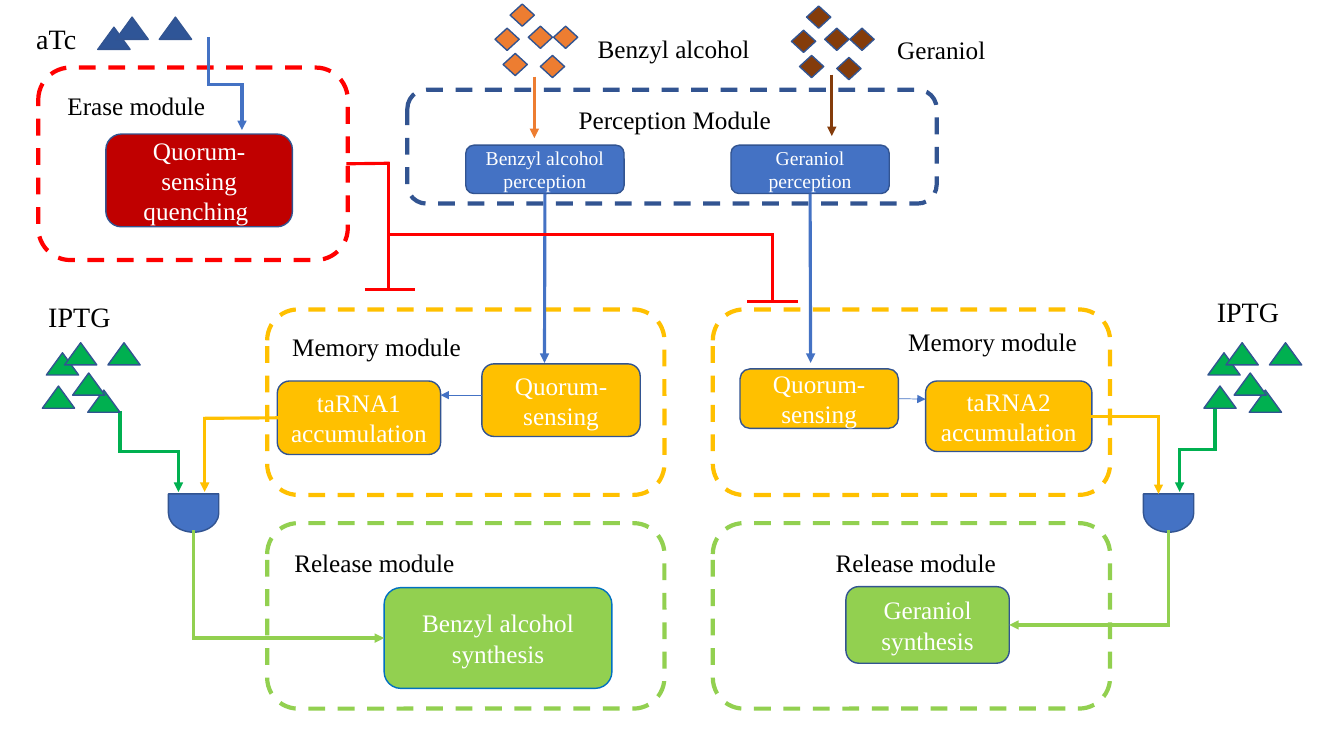
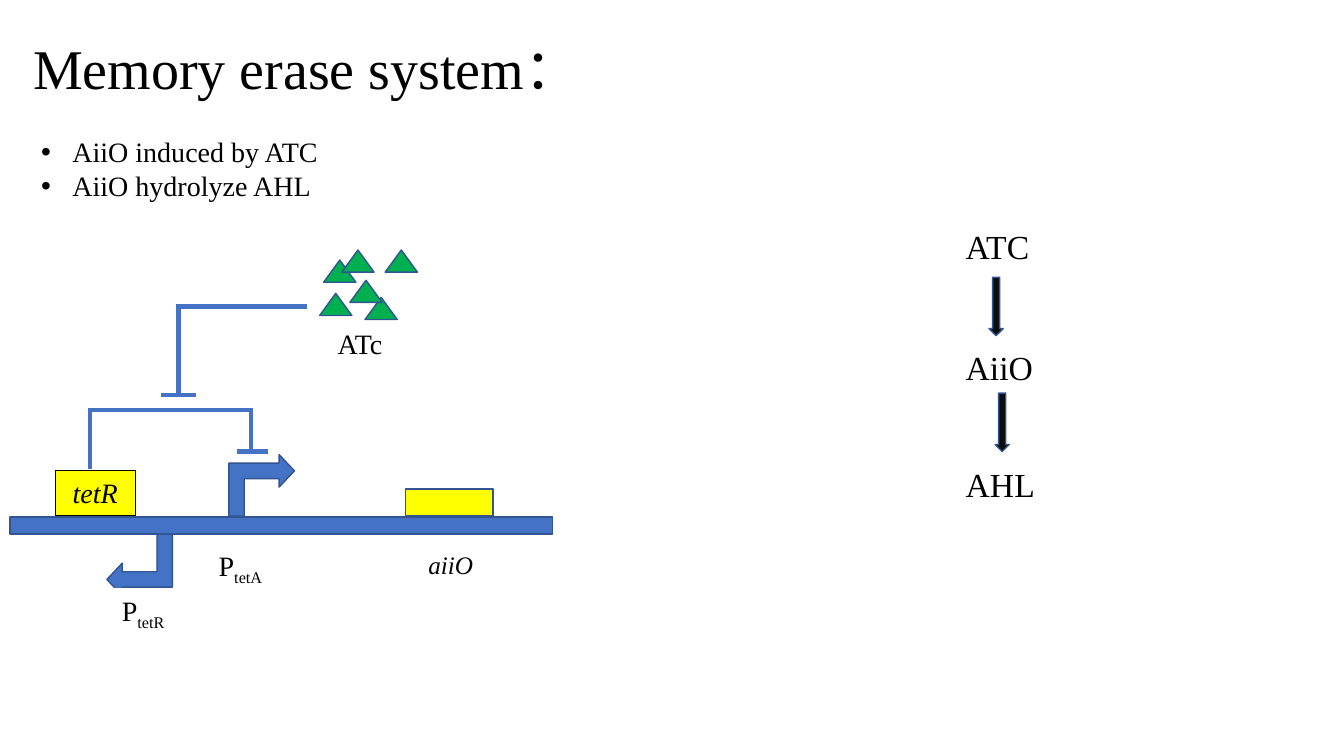
from dataclasses import dataclass

from lxml import etree
from pptx import Presentation
from pptx.dml.color import RGBColor
from pptx.enum.dml import MSO_LINE
from pptx.enum.shapes import MSO_CONNECTOR, MSO_SHAPE
from pptx.enum.text import MSO_ANCHOR, PP_ALIGN
from pptx.oxml.ns import qn
from pptx.util import Pt

PX = 9144  # 100 px to the inch
RECTANGLE, ROUNDED = MSO_SHAPE.RECTANGLE, MSO_SHAPE.ROUNDED_RECTANGLE
TRIANGLE, DIAMOND = MSO_SHAPE.ISOSCELES_TRIANGLE, MSO_SHAPE.DIAMOND
DELAY, BENT_ARROW = MSO_SHAPE.FLOWCHART_DELAY, MSO_SHAPE.BENT_UP_ARROW
DOWN_ARROW = MSO_SHAPE.DOWN_ARROW
STRAIGHT = MSO_CONNECTOR.STRAIGHT
LEFT, CENTER = PP_ALIGN.LEFT, PP_ALIGN.CENTER
TOP, MIDDLE = MSO_ANCHOR.TOP, MSO_ANCHOR.MIDDLE
LEFT_SIDE, BOTTOM_SIDE, RIGHT_SIDE = 1, 2, 3


@dataclass(frozen=True)
class Theme:
    font: str = "Times New Roman"
    white: str = "FFFFFF"
    black: str = "000000"
    ink: str = "0D0D0D"
    outline: str = "325491"
    blue: str = "4472C4"
    navy: str = "2F5597"
    bright_blue: str = "0070C0"
    red: str = "FF0000"
    dark_red: str = "C00000"
    amber: str = "FFC000"
    yellow: str = "FFFF00"
    lime: str = "92D050"
    green: str = "00B050"
    orange: str = "ED7D31"
    brown: str = "843C0B"
    title: int = 40
    step: int = 24
    label: int = 20
    body: int = 18
    small: int = 14


theme = Theme()


def add_box(shapes, kind, box, fill=None, line=theme.outline, width=1, dash=False,
            text="", size=theme.body, color=theme.black, align=LEFT, anchor=TOP,
            italic=False, bullet=False):
    """Add a shape, or a text box when kind is None; "_" starts a subscript."""
    frame = [value * PX for value in box]
    if kind is None:
        shape = shapes.add_textbox(*frame)
    else:
        shape = shapes.add_shape(kind, *frame)
        shape.shadow.inherit = False
        shape.fill.solid()
        shape.fill.fore_color.rgb = RGBColor.from_string(fill)
        shape.line.color.rgb = RGBColor.from_string(line)
        shape.line.width = Pt(width)
        if dash:
            shape.line.dash_style = MSO_LINE.DASH
    if not text:
        return shape
    text_frame = shape.text_frame
    for name, value in {"word_wrap": True, "vertical_anchor": anchor}.items():
        setattr(text_frame, name, value)
    for index, content in enumerate(text.split("\n")):
        paragraph = text_frame.add_paragraph() if index else text_frame.paragraphs[0]
        paragraph.alignment = align
        if bullet:
            properties = paragraph._p.get_or_add_pPr()
            properties.set("marL", str(31 * PX))
            properties.set("indent", str(-31 * PX))
            etree.SubElement(properties, qn("a:buFont"), typeface="Arial")
            etree.SubElement(properties, qn("a:buChar"), char="•")
        base, _, subscript = content.partition("_")
        for part in filter(None, (base, subscript)):
            run = paragraph.add_run()
            run.text = part
            font_format = {"name": theme.font, "size": Pt(size), "italic": italic}
            for name, value in font_format.items():
                setattr(run.font, name, value)
            run.font.color.rgb = RGBColor.from_string(color)
            if part is subscript:
                run.font._element.set("baseline", "-25000")
    return shape


def add_link(shapes, points, color, width=2.25, arrow=True, begin=None, end=None):
    """Draw straight connectors through points; begin and end are (shape, site)."""
    last = len(points) - 2
    for index, (start, stop) in enumerate(zip(points, points[1:])):
        connector = shapes.add_connector(STRAIGHT, *[v * PX for v in start + stop])
        connector.line.color.rgb = RGBColor.from_string(color)
        connector.line.width = Pt(width)
        properties = connector._element.spPr
        outline = properties.find(qn("a:ln"))
        if last:
            outline.set("cap", "sq")
        if arrow and index == last:
            etree.SubElement(outline, qn("a:tailEnd"), type="triangle")
        etree.SubElement(properties, qn("a:effectLst"))
        if begin and index == 0:
            connector.begin_connect(*begin)
        if end and index == last:
            connector.end_connect(*end)


presentation = Presentation()
presentation.slide_width = 1333 * PX
presentation.slide_height = 750 * PX
blank = presentation.slide_layouts[6]
overview = presentation.slides.add_slide(blank)
erase_system = presentation.slides.add_slide(blank)

# Overview: dashed modules
canvas = overview.shapes
modules = {}
for name, box, color in [
    ("memory 2", (707, 307, 394, 184), theme.amber),
    ("memory 1", (265, 307, 394, 184), theme.amber),
    ("perception", (404, 89, 525, 113), theme.outline),
    ("erase", (38, 67, 307, 191), theme.red),
    ("release 1", (265, 519, 394, 184), theme.lime),
    ("release 2", (707, 519, 394, 184), theme.lime),
]:
    modules[name] = add_box(canvas, ROUNDED, box, theme.white, color, 3, dash=True)

# Overview: steps inside the modules
steps = {}
for name, box, fill, line, size, text in [
    ("sense alcohol", (462, 144, 157, 48), theme.blue, theme.outline, theme.small,
     "Benzyl alcohol perception"),
    ("sense geraniol", (725, 144, 157, 48), theme.blue, theme.outline, theme.small,
     "Geraniol perception"),
    ("quorum 1", (478, 361, 157, 72), theme.amber, theme.outline, theme.body,
     "Quorum-sensing"),
    ("quorum 2", (734, 366, 157, 59), theme.amber, theme.outline, theme.body,
     "Quorum-sensing"),
    ("taRNA1", (275, 378, 162, 73), theme.amber, theme.outline, theme.body,
     "taRNA1\naccumulation"),
    ("taRNA2", (918, 378, 165, 70), theme.amber, theme.outline, theme.body,
     "taRNA2 accumulation"),
    ("make alcohol", (381, 583, 226, 100), theme.lime, theme.bright_blue, theme.body,
     "Benzyl alcohol synthesis"),
    ("make geraniol", (839, 582, 162, 76), theme.lime, theme.outline, theme.body,
     "Geraniol synthesis"),
    ("quenching", (105, 133, 185, 92), theme.dark_red, theme.outline, theme.body,
     "Quorum-sensing quenching "),
]:
    steps[name] = add_box(canvas, ROUNDED, box, fill, line, text=text, size=size,
                          color=theme.white, align=CENTER, anchor=MIDDLE)

# Overview: AND gates
for left in (173, 1140):
    gate = add_box(canvas, DELAY, (left, 484, 38, 50), theme.blue)
    gate.rotation = 90

# Overview: labels
for text, left, top, width, size in [
    ("Perception Module", 564, 99, 218, theme.body),
    ("Memory module", 280, 324, 196, theme.body),
    ("Memory module", 891, 319, 193, theme.body),
    ("Erase module", 57, 85, 201, theme.body),
    ("Release module", 282, 538, 242, theme.body),
    ("Release module", 819, 538, 253, theme.body),
    ("Benzyl alcohol", 583, 28, 180, theme.body),
    ("Geraniol", 880, 29, 172, theme.body),
    ("IPTG", 38, 292, 89, theme.label),
    ("IPTG", 1197, 287, 93, theme.label),
    ("aTc", 26, 16, 89, theme.label),
]:
    add_box(canvas, None, (left, top, width, 44), text=text, size=size)

# Overview: signal arrows
for points, color, width, begin, end in [
    ([(540, 192), (540, 360)], theme.blue, 2.25, ("sense alcohol", BOTTOM_SIDE), None),
    ([(804, 192), (804, 360)], theme.blue, 2.25, ("sense geraniol", BOTTOM_SIDE), None),
    ([(891, 396), (918, 396)], theme.blue, 0.5, ("quorum 2", RIGHT_SIDE), None),
    ([(478, 392), (437, 392)], theme.blue, 0.5, None, None),
    ([(530, 76), (530, 137)], theme.orange, 2.25, None, None),
    ([(825, 74), (825, 135)], theme.brown, 2.25, None, None),
    ([(207, 38), (207, 84), (240, 84), (240, 129)], theme.blue, 2.25, None, None),
    ([(275, 415), (203, 415), (203, 488)], theme.amber, 2.25,
     ("taRNA1", LEFT_SIDE), None),
    ([(1083, 413), (1149, 413), (1149, 490)], theme.amber, 2.25,
     ("taRNA2", RIGHT_SIDE), None),
    ([(119, 409), (119, 448), (177, 448), (177, 488)], theme.green, 2.25, None, None),
    ([(1205, 404), (1205, 446), (1170, 446), (1170, 488)], theme.green, 2.25,
     None, None),
    ([(192, 527), (192, 633), (381, 633)], theme.lime, 2.25,
     None, ("make alcohol", LEFT_SIDE)),
    ([(1159, 527), (1159, 620), (1001, 620)], theme.lime, 2.25,
     None, ("make geraniol", RIGHT_SIDE)),
]:
    add_link(canvas, points, color, width,
             begin=begin and (steps[begin[0]], begin[1]),
             end=end and (steps[end[0]], end[1]))

# Overview: inhibition of both memory modules
add_link(canvas, [(345, 162), (385, 162), (385, 287)], theme.red, arrow=False,
         begin=(modules["erase"], RIGHT_SIDE))
add_link(canvas, [(385, 233), (766, 233), (766, 299)], theme.red, arrow=False)
for left, top in [(362, 287), (741, 299)]:
    add_link(canvas, [(left, top), (left + 50, top)], theme.red, arrow=False)

# Erase system: title and bullets
canvas = erase_system.shapes
add_box(canvas, None, (23, 28, 842, 77), text="Memory erase system：", size=theme.title)
add_box(canvas, None, (31, 129, 297, 77), text="AiiO induced by ATC\nAiiO hydrolyze AHL",
        size=theme.label, bullet=True)

# Erase system: gene circuit
circuit = canvas.add_group_shape().shapes
add_box(circuit, RECTANGLE, (10, 513, 538, 17), theme.blue)
add_box(circuit, RECTANGLE, (402, 485, 87, 27), theme.yellow)
add_box(circuit, RECTANGLE, (55, 467, 79, 44), theme.yellow, theme.black, 0.75,
        text="tetR", size=theme.label, align=CENTER, italic=True)
add_box(circuit, None, (415, 540, 75, 40), text="aiiO", italic=True)
for left, top, rotation in [(108, 528, 90), (229, 449, 270)]:
    promoter = add_box(circuit, BENT_ARROW, (left, top, 61, 65), theme.blue)
    for index, value in enumerate((0.25, 0.265, 0.25)):
        promoter.adjustments[index] = value
    promoter.rotation = rotation
    promoter._element.spPr.xfrm.set("flipV", "1")
for text, left, top, width in [
    ("P_tetA", 207, 539, 72), ("P_tetR", 111, 584, 76), ("ATc", 325, 319, 75),
]:
    add_box(circuit, RECTANGLE, (left, top, width, 44), theme.white, theme.white, 0.75,
            text=text, size=theme.label)
for points in [
    [(89, 463), (89, 407), (249, 407), (249, 448)],
    [(235, 448), (266, 448)],
    [(302, 304), (177, 304), (177, 392)],
    [(160, 392), (194, 392)],
]:
    add_link(circuit, points, theme.blue, 3, arrow=False)

# Erase system: reaction chain
for text, top in [("ATC", 219), ("AiiO", 339), ("AHL", 455)]:
    add_box(canvas, None, (948, top, 144, 50), text=text, size=theme.step)
for left, top in [(981, 275), (987, 390)]:
    add_box(canvas, DOWN_ARROW, (left, top, 14, 58), theme.ink)

# Molecule clusters on both slides
triangles = [(4, 10), (65, 0), (45, 47), (0, 43), (30, 30), (22, 0)]
triangle_trio = [triangles[index] for index in (0, 1, 5)]
diamonds = [(15, 0), (58, 22), (8, 49), (0, 24), (33, 22), (45, 51)]
for slide, kind, size, offsets, left, top, color in [
    (overview, TRIANGLE, (32, 22), triangles, 1194, 340, theme.green),
    (overview, TRIANGLE, (32, 22), triangles, 42, 340, theme.green),
    (overview, TRIANGLE, (32, 22), triangle_trio, 93, 17, theme.navy),
    (overview, DIAMOND, (24, 22), diamonds, 491, 4, theme.orange),
    (overview, DIAMOND, (24, 22), diamonds, 785, 6, theme.brown),
    (erase_system, TRIANGLE, (32, 22), triangles, 317, 248, theme.green),
]:
    cluster = slide.shapes.add_group_shape().shapes
    for across, down in offsets:
        add_box(cluster, kind, (left + across, top + down) + size, color)

presentation.save("out.pptx")
